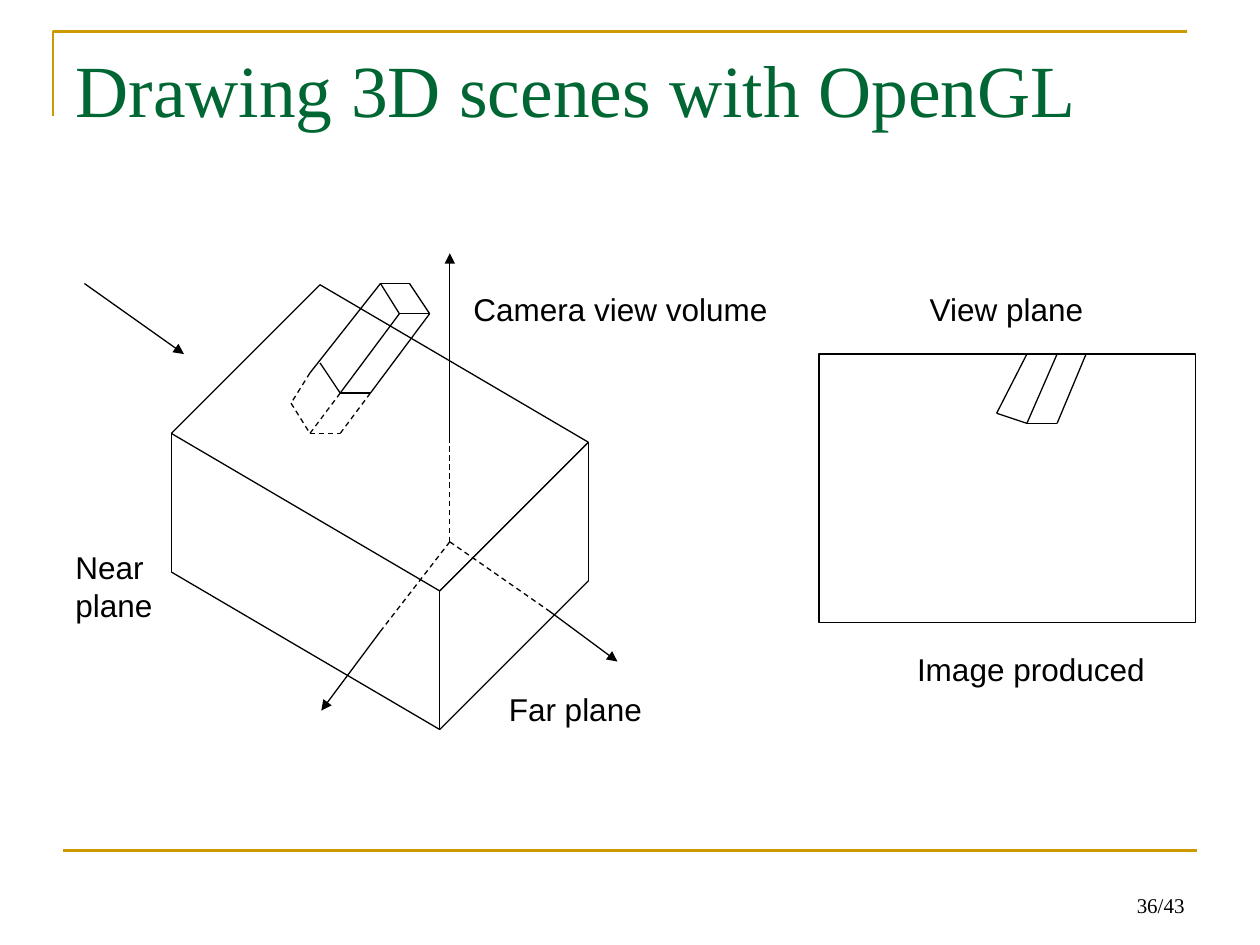
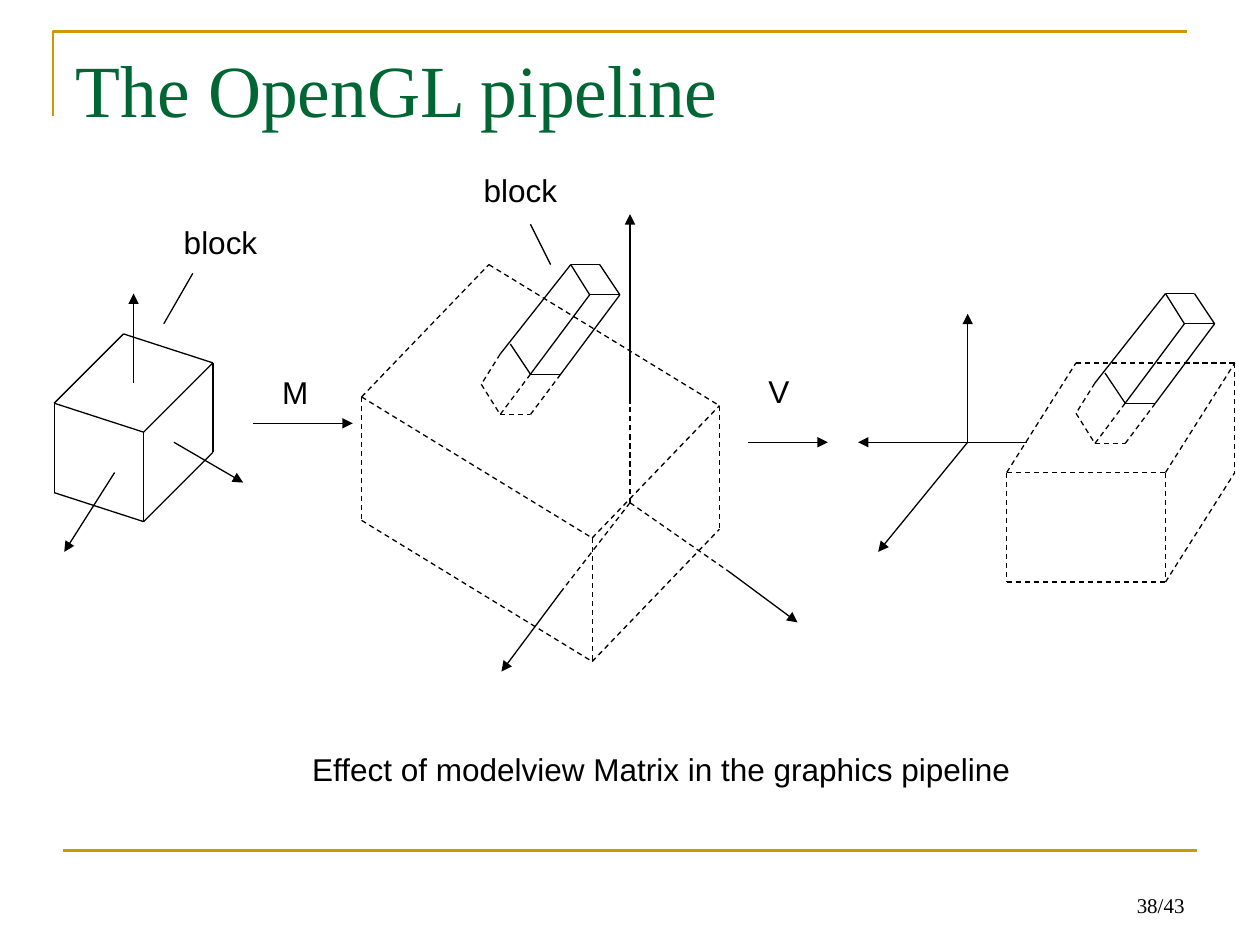
from lxml import etree
from pptx import Presentation
from pptx.dml.color import RGBColor
from pptx.enum.dml import MSO_LINE_DASH_STYLE as Dash
from pptx.enum.shapes import MSO_CONNECTOR_TYPE as Connector, MSO_SHAPE as Shape
from pptx.enum.text import MSO_ANCHOR as Anchor, MSO_AUTO_SIZE as AutoSize, PP_ALIGN as Align
from pptx.oxml.ns import qn
from pptx.util import Inches, Pt

COLORS = {"title": "006633", "band": "CC9900", "ink": "000000"}
TITLE_FONT, LABEL_FONT = "Times New Roman", "Arial"
TITLE_ONLY = 5

# Points are offsets from the block's upper left corner.
BLOCK_SOLID = [
    [(-0.56, 0.71), (0, 0), (0.23, 0), (0.39, 0.24), (-0.08, 0.87),
     (-0.32, 0.87), (-0.48, 0.63)],
    [(0, 0), (0.15, 0.24), (0.39, 0.24)],
    [(0.15, 0.24), (-0.32, 0.87)],
]
BLOCK_HIDDEN = [
    [(-0.56, 0.71), (-0.71, 0.95), (-0.56, 1.19), (-0.32, 1.19), (-0.08, 0.87)],
    [(-0.32, 0.87), (-0.56, 1.19)],
]
# Each world axis: where its hidden part ends and where its arrow ends.
WORLD_AXES = [((0, -0.79), (0, -2.29)), ((0.79, 0.55), (1.33, 0.95)),
              ((-0.55, 0.71), (-1.02, 1.34))]


def color(name):
    return RGBColor.from_string(COLORS[name])


def shift(point, offset):
    return point[0] + offset[0], point[1] + offset[1]


def set_font(para, name, size, ink):
    para.font.name = name
    para.font.size = Pt(size)
    para.font.color.rgb = color(ink)


def set_line(shape, ink="ink", width=0.75):
    shape.line.color.rgb = color(ink)
    shape.line.width = Pt(width)


def add_line(page, start, end, dashed=False, arrow=False, ink="ink", width=0.75):
    line = page.shapes.add_connector(
        Connector.STRAIGHT, *(Inches(value) for value in (*start, *end)))
    set_line(line, ink, width)
    if dashed:
        line.line.dash_style = Dash.DASH
    if arrow:
        etree.SubElement(line.line._get_or_add_ln(), qn("a:tailEnd"), type="triangle")
    etree.SubElement(line._element.spPr, qn("a:effectLst"))


def add_path(page, points, dashed=False):
    """Join consecutive points with straight lines."""
    for start, end in zip(points, points[1:]):
        add_line(page, start, end, dashed)


def add_text(page, text, left, top, width, height):
    box = page.shapes.add_textbox(*map(Inches, (left, top, width, height)))
    box.text_frame.text = text
    box.text_frame.word_wrap = True
    return box.text_frame


def add_label(page, text, left, top, width, height=0.4):
    frame = add_text(page, text, left, top, width, height)
    frame.margin_right = 0
    for para in frame.paragraphs:
        set_font(para, LABEL_FONT, 18, "ink")


def add_page(deck, title, number):
    page = deck.slides.add_slide(deck.slide_layouts[TITLE_ONLY])
    add_band(page)

    holder = page.shapes.title
    holder.left, holder.top, holder.width, holder.height = map(Inches, (0.5, 0.3, 9, 1.25))
    frame = holder.text_frame
    frame.text = title
    frame.auto_size = AutoSize.NONE
    frame.vertical_anchor = Anchor.TOP
    frame.paragraphs[0].alignment = Align.LEFT
    set_font(frame.paragraphs[0], TITLE_FONT, 42, "title")

    frame = add_text(page, number, 7.17, 6.83, 2.33, 0.5)
    frame.vertical_anchor = Anchor.BOTTOM
    frame.paragraphs[0].alignment = Align.RIGHT
    set_font(frame.paragraphs[0], TITLE_FONT, 12, "ink")
    return page


def add_band(page):
    """Draw the corner above the title and the rule above the page number."""
    left, top, right, bottom = map(Inches, (0.42, 0.25, 9.42, 0.92))
    outline = page.shapes.build_freeform(left, bottom)
    outline.add_line_segments([(left, top), (right, top)], close=False)
    corner = outline.convert_to_shape()
    corner.shadow.inherit = False
    corner.fill.background()
    set_line(corner, "band", 1.5)
    add_line(page, (0.5, 6.75), (9.5, 6.75), ink="band", width=1.5)


def add_solid(page, back, left, right, height, dashed=False):
    """Draw a box from three corners of its top face and its height."""
    front = (left[0] + right[0] - back[0], left[1] + right[1] - back[1])
    rim = [left, front, right]
    base = [shift(corner, (0, height)) for corner in rim]
    add_path(page, [left, back, right], dashed)
    add_path(page, rim, dashed)
    add_path(page, base, dashed)
    for upper, lower in zip(rim, base):
        add_line(page, upper, lower, dashed)


def add_block(page, corner):
    for paths, dashed in ((BLOCK_SOLID, False), (BLOCK_HIDDEN, True)):
        for path in paths:
            add_path(page, [shift(point, corner) for point in path], dashed)


def add_world_axes(page, origin):
    for hidden_end, tip in WORLD_AXES:
        middle = shift(origin, hidden_end)
        add_line(page, origin, middle, dashed=True)
        add_line(page, middle, shift(origin, tip), arrow=True)


def add_view_plane(page):
    plane = page.shapes.add_shape(Shape.RECTANGLE, *map(Inches, (6.5, 2.81, 2.99, 2.13)))
    plane.shadow.inherit = False
    plane.fill.background()
    set_line(plane)
    add_path(page, [(8.15, 2.81), (7.91, 3.28), (8.15, 3.36), (8.39, 3.36), (8.62, 2.81)])
    add_line(page, (8.39, 2.81), (8.15, 3.36))


def add_scene_page(deck):
    page = add_page(deck, "Drawing 3D scenes with OpenGL", "36/43")
    add_solid(page, (2.54, 2.26), (1.36, 3.44), (4.67, 3.51), 1.1)
    add_world_axes(page, (3.57, 4.3))
    add_block(page, (3.02, 2.25))
    add_line(page, (0.67, 2.25), (1.46, 2.81), arrow=True)
    add_view_plane(page)
    add_label(page, "Near\nplane", 0.5, 4.3, 0.81, 0.7)
    add_label(page, "Far plane", 3.94, 5.43, 1.25)
    add_label(page, "Camera view volume", 3.66, 2.25, 2.53)
    add_label(page, "View plane", 7.28, 2.25, 1.42)
    add_label(page, "Image produced", 7.18, 5.11, 2)


def add_pipeline_page(deck):
    page = add_page(deck, "The OpenGL pipeline", "38/43")

    add_solid(page, (0.98, 2.65), (0.43, 3.2), (1.69, 2.88), 0.71)
    model_axes = [((1.06, 3.04), (1.06, 2.33)), ((0.91, 3.75), (0.51, 4.38)),
                  ((1.38, 3.51), (1.93, 3.83))]
    eye_axes = [((8.15, 3.51), (6.81, 3.51)), ((7.68, 3.51), (7.68, 2.49)),
                ((7.68, 3.51), (6.97, 4.38))]
    steps = [((2.01, 3.36), (2.8, 3.36)), ((5.94, 3.51), (6.57, 3.51))]
    for start, end in model_axes + steps + eye_axes:
        add_line(page, start, end, arrow=True)

    add_solid(page, (3.88, 2.1), (2.87, 3.15), (5.71, 3.22), 0.98, dashed=True)
    add_world_axes(page, (5, 3.99))
    add_block(page, (4.53, 2.1))

    add_solid(page, (8.54, 2.88), (7.99, 3.75), (9.8, 2.88), 0.87, dashed=True)
    add_block(page, (9.25, 2.33))

    add_line(page, (1.3, 2.57), (1.53, 2.17))
    add_line(page, (4.37, 2.1), (4.21, 1.78))
    add_label(page, "block", 1.36, 1.72, 0.78)
    add_label(page, "block", 3.74, 1.31, 0.78)
    add_label(page, "M", 2.14, 2.91, 0.41)
    add_label(page, "V", 6, 2.9, 0.36)
    add_label(page, "Effect of modelview Matrix in the graphics pipeline", 2.38, 5.9, 5.74)


def main():
    deck = Presentation()
    deck.slide_width, deck.slide_height = Inches(10), Inches(7.5)
    add_scene_page(deck)
    add_pipeline_page(deck)
    deck.save("out.pptx")


if __name__ == "__main__":
    main()
